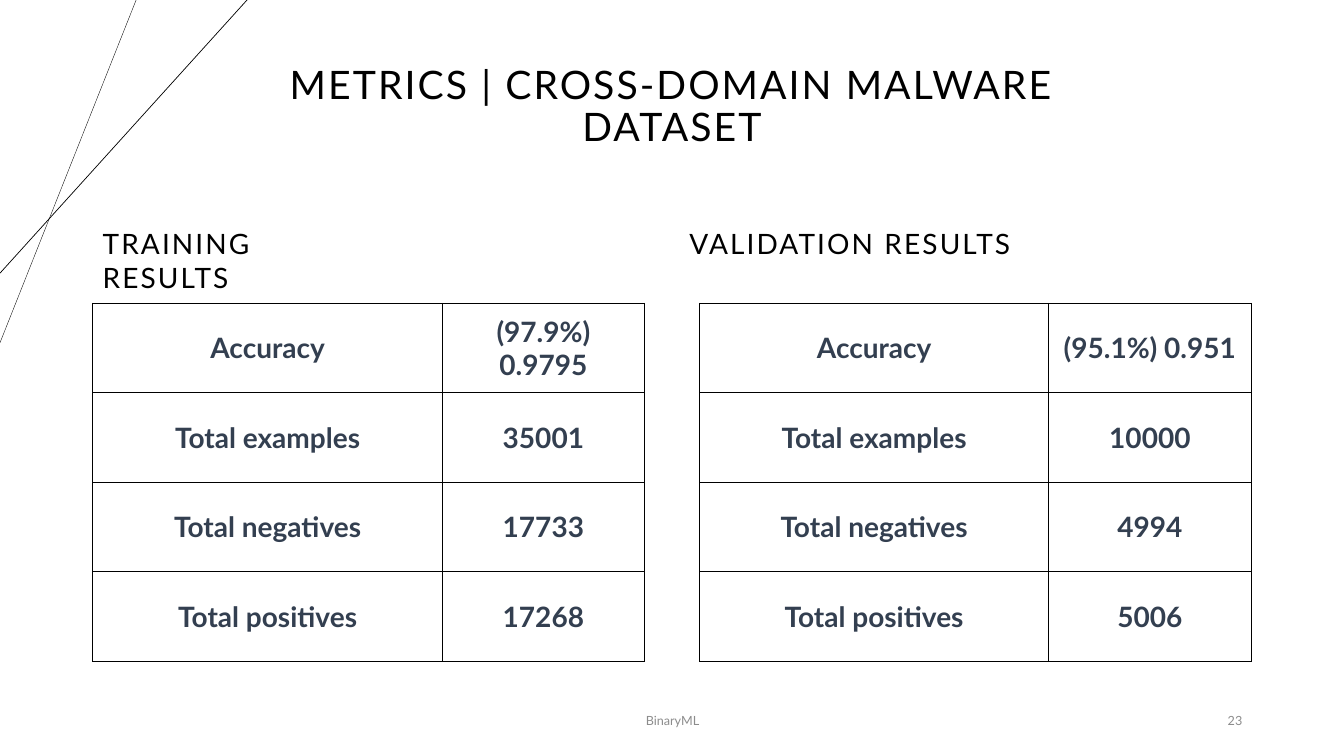
"""Build the metrics slide with its two result tables."""
import pptx
import pptx.util
import pptx.dml.color
import pptx.enum.shapes
import pptx.enum.text
import pptx.oxml
import pptx.oxml.ns

Inches = pptx.util.Inches
Pt = pptx.util.Pt
ALIGN = pptx.enum.text.PP_ALIGN
ANCHOR = pptx.enum.text.MSO_ANCHOR
BLACK = pptx.dml.color.RGBColor(0x00, 0x00, 0x00)
GREY = pptx.dml.color.RGBColor(0x8C, 0x8C, 0x8C)
NAVY = pptx.dml.color.RGBColor(0x33, 0x3F, 0x50)
FONT = "Lato"
LABELS = ["Accuracy", "Total examples", "Total negatives", "Total positives"]
TRAIN = ["(97.9%) 0.9795", "35001", "17733", "17268"]
VALID = ["(95.1%) 0.951", "10000", "4994", "5006"]


def add_run(para, text, size, color, bold=False, space=0):
    """Add one styled run to a paragraph."""
    run = para.add_run()
    run.text = text
    run.font.name = FONT
    run.font.size = Pt(size)
    run.font.bold = bold
    run.font.color.rgb = color
    if space:
        run.font._element.set("spc", str(int(space * 100)))


def add_text(slide, box, text, size, color, align=ALIGN.LEFT,
             anchor=ANCHOR.MIDDLE, space=0, lead=1.0):
    """Place one line of wrapped text in a box."""
    frame = slide.shapes.add_textbox(*map(Inches, box)).text_frame
    frame.word_wrap = True
    frame.vertical_anchor = anchor
    para = frame.paragraphs[0]
    para.alignment = align
    para.line_spacing = lead
    add_run(para, text, size, color, space=space)


def add_lines(slide, left, top):
    """Draw the two crossing corner lines."""
    for across, down, width in [(1.35, 3.4, 0.25), (2.45, 2.71, 0.5)]:
        line = slide.shapes.add_connector(
            pptx.enum.shapes.MSO_CONNECTOR.STRAIGHT,
            Inches(left + across), Inches(top), Inches(left), Inches(top + down))
        line.line.color.rgb = BLACK
        line.line.width = Pt(width)
        line._element.spPr.append(pptx.oxml.parse_xml(
            f'<a:effectLst {pptx.oxml.ns.nsdecls("a")}/>'))


def add_edges(cell):
    """Give a cell thin black borders on all sides."""
    props = cell._tc.get_or_add_tcPr()
    for side in "LRTB":
        props.append(pptx.oxml.parse_xml(
            f'<a:ln{side} {pptx.oxml.ns.nsdecls("a")} w="{Pt(1)}"><a:solidFill>'
            f'<a:srgbClr val="{BLACK}"/></a:solidFill></a:ln{side}>'))


def add_grid(slide, box, split, values):
    """Place a table of labels and values in a box."""
    left, top, width, height = map(Inches, box)
    table = slide.shapes.add_table(
        len(LABELS), 2, left, top, width, height).table
    table.first_row = False
    table.horz_banding = False
    table.columns[0].width = Inches(split)
    table.columns[1].width = width - Inches(split)
    for row, pair in enumerate(zip(LABELS, values)):
        for col, text in enumerate(pair):
            cell = table.cell(row, col)
            add_edges(cell)
            cell.fill.background()
            cell.vertical_anchor = ANCHOR.MIDDLE
            para = cell.text_frame.paragraphs[0]
            para.alignment = ALIGN.CENTER
            add_run(para, text, 20, NAVY, bold=True)


def add_foot(slide, left, top):
    """Place the footer name and the page number."""
    add_text(slide, (left, top, 4.5, 0.4), "BinaryML", 9, GREY, ALIGN.CENTER)
    add_text(slide, (left + 5, top, 3, 0.4), "23", 9, GREY, ALIGN.RIGHT)


def main():
    """Build and save the deck."""
    deck = pptx.Presentation()
    deck.slide_width = Inches(13.33)
    deck.slide_height = Inches(7.5)
    slide = deck.slides.add_slide(deck.slide_layouts[6])
    add_lines(slide, 0, 0)
    add_text(slide, (2.06, 0.38, 9.21, 1.38),
             "METRICS | CROSS-DOMAIN MALWARE DATASET", 28, BLACK,
             ALIGN.CENTER, space=1.5, lead=0.9)
    add_foot(slide, 4.42, 6.95)
    add_grid(slide, (0.92, 3.01, 5.47, 3.55), 3.47, TRAIN)
    add_grid(slide, (6.94, 3.01, 5.47, 3.55), 3.46, VALID)
    for left, width, text in [(0.92, 2.94, "TRAINING RESULTS"),
                              (6.74, 3.67, "VALIDATION RESULTS")]:
        add_text(slide, (left, 2.2, width, 0.44), text, 20, BLACK,
                 anchor=ANCHOR.TOP, space=1.5)
    deck.save("out.pptx")


if __name__ == "__main__":
    main()
